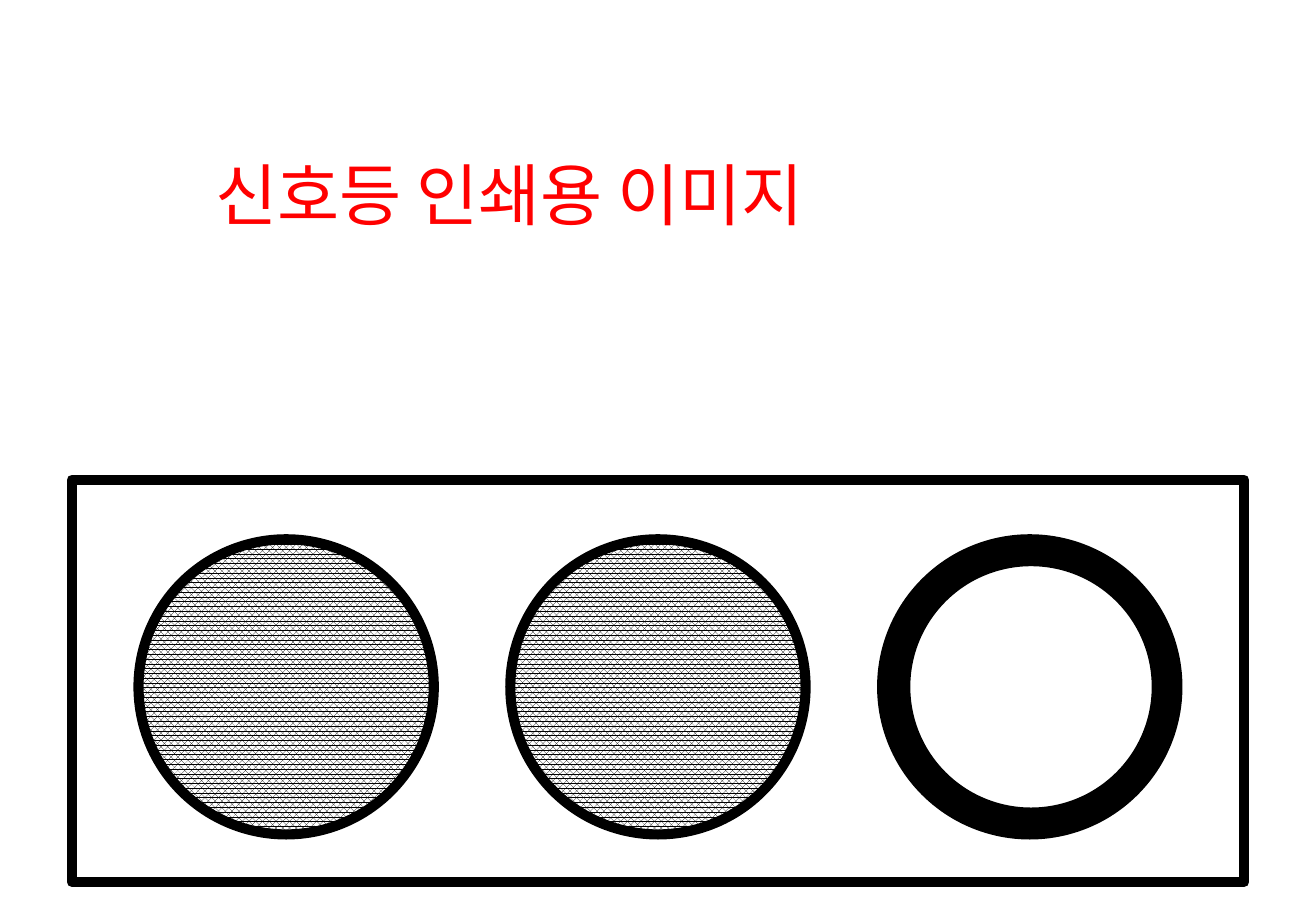
from dataclasses import dataclass

from lxml.etree import SubElement
from pptx import Presentation
from pptx.dml.color import RGBColor
from pptx.enum.dml import MSO_PATTERN
from pptx.enum.shapes import MSO_SHAPE
from pptx.enum.text import MSO_ANCHOR, MSO_AUTO_SIZE, PP_ALIGN
from pptx.oxml.ns import qn
from pptx.util import Inches, Pt

COLORS = {"black": "000000", "white": "FFFFFF", "red": "FF0000"}
FONT = "Noto Sans CJK KR"
OUTLINE_WIDTH = 6
LAMP_LEFT, LAMP_TOP, LAMP_SIZE, LAMP_STEP = 1.14, 4.44, 2.43, 3.06


@dataclass
class Part:
    left: float
    top: float
    width: float
    height: float
    fill: str
    kind: MSO_SHAPE = MSO_SHAPE.OVAL


def color(name: str) -> RGBColor:
    return RGBColor.from_string(COLORS[name])


def draw_part(slide, part: Part) -> None:
    shape = slide.shapes.add_shape(
        part.kind, Inches(part.left), Inches(part.top), Inches(part.width), Inches(part.height)
    )
    shape.shadow.inherit = False
    if part.kind == MSO_SHAPE.ROUNDED_RECTANGLE:
        shape.adjustments[0] = 0
    if part.fill == "none":
        shape.fill.background()
    elif part.fill == "pattern":
        shape.fill.patterned()
        shape.fill.pattern = MSO_PATTERN.PERCENT_75
        shape.fill.fore_color.rgb = color("black")
        shape.fill.back_color.rgb = color("white")
    else:
        shape.fill.solid()
        shape.fill.fore_color.rgb = color(part.fill)
    shape.line.color.rgb = color("black")
    shape.line.width = Pt(OUTLINE_WIDTH)
    # Rounded line joins
    SubElement(shape.line._get_or_add_ln(), qn("a:round"))


def write_text(shape, text: str, *, size: float, color_name: str,
               align: PP_ALIGN = PP_ALIGN.LEFT) -> None:
    frame = shape.text_frame
    frame.word_wrap = True
    frame.auto_size = MSO_AUTO_SIZE.NONE
    frame.vertical_anchor = MSO_ANCHOR.MIDDLE
    paragraph = frame.paragraphs[0]
    paragraph.alignment = align
    run = paragraph.add_run()
    run.text = text
    run.font.size = Pt(size)
    run.font.name = FONT
    run.font.color.rgb = color(color_name)
    # Korean glyphs use the East Asian font
    SubElement(run.font._element, qn("a:ea"), typeface=FONT)


def main() -> None:
    presentation = Presentation()
    presentation.slide_width, presentation.slide_height = Inches(10.83), Inches(7.5)
    slide = presentation.slides.add_slide(presentation.slide_layouts[5])

    # Title
    title = slide.shapes.title
    title.left, title.top = Inches(1.67), Inches(1.21)
    title.width, title.height = Inches(7.14), Inches(0.77)
    write_text(title, "신호등 인쇄용 이미지", size=40, color_name="red")

    # Traffic light housing
    draw_part(slide, Part(0.59, 3.95, 9.65, 3.31, "none", MSO_SHAPE.ROUNDED_RECTANGLE))

    # Three lamps
    for index, fill in enumerate(("pattern", "pattern", "black")):
        left = LAMP_LEFT + index * LAMP_STEP
        draw_part(slide, Part(left, LAMP_TOP, LAMP_SIZE, LAMP_SIZE, fill))

    # White centre of the last lamp
    draw_part(slide, Part(7.45, 4.62, 2.07, 2.07, "white"))

    presentation.save("out.pptx")


if __name__ == "__main__":
    main()
